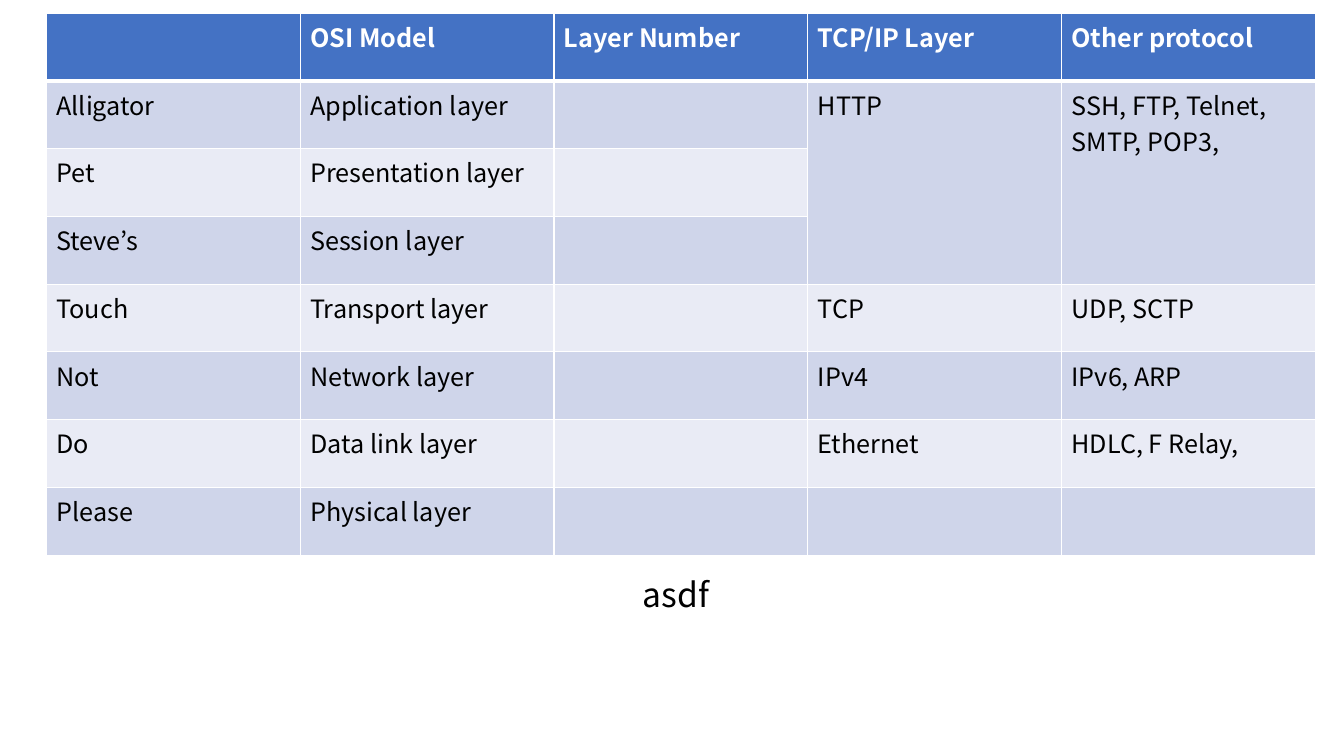
from dataclasses import dataclass

from lxml.etree import SubElement
from pptx import Presentation
from pptx.dml.color import RGBColor as RGB
from pptx.enum.text import PP_ALIGN as Align
from pptx.oxml.ns import qn
from pptx.util import Pt


@dataclass(frozen=True)
class Theme:
    font: str = "Noto Sans CJK KR"
    header: str = "4472C4"
    bands: tuple = ("CFD5EA", "E9EBF5")
    rule: str = "FFFFFF"
    header_text: str = "FFFFFF"
    body_text: str = "000000"
    table_size: int = 18
    caption_size: int = 24
    thin: int = 1
    thick: int = 3


THEME = Theme()
HEADINGS = ("", "OSI Model", "Layer Number", "TCP/IP Layer", "Other protocol")
LAYERS = (
    ("Alligator", "Application layer", "", "HTTP", "SSH, FTP, Telnet, SMTP, POP3, "),
    ("Pet", "Presentation layer", "", "", ""),
    ("Steve’s ", "Session layer", "", "", ""),
    ("Touch", "Transport layer", "", "TCP", "UDP, SCTP"),
    ("Not", "Network layer", "", "IPv4", "IPv6, ARP"),
    ("Do", "Data link layer", "", "Ethernet", "HDLC, F Relay, "),
    ("Please", "Physical layer", "", "", ""),
)
MERGED_ROWS = (1, 3)
PROTOCOL_COLUMNS = (3, 4)
LEFT, TOP = 33.1, 9.4
COLUMN_WIDTH, ROW_HEIGHT = 181.3, 48.4


def style_runs(paragraph, size, color, bold=False):
    for run in paragraph.runs:
        run.font.name = THEME.font
        run.font.size = Pt(size)
        run.font.bold = bold
        run.font.color.rgb = RGB.from_string(color)


def add_border(cell, side, width):
    line = SubElement(cell._tc.get_or_add_tcPr(), qn(f"a:ln{side}"), w=str(Pt(width)))
    paint = SubElement(line, qn("a:solidFill"))
    SubElement(paint, qn("a:srgbClr"), val=THEME.rule)


def fill_cell(cell, wording, row):
    is_header = row == 0
    widths = {
        "L": THEME.thin,
        "R": THEME.thin,
        "T": THEME.thick if row == 1 else THEME.thin,
        "B": THEME.thick if is_header else THEME.thin,
    }
    for side, width in widths.items():
        add_border(cell, side, width)
    band = THEME.header if is_header else THEME.bands[(row - 1) % 2]
    cell.fill.solid()
    cell.fill.fore_color.rgb = RGB.from_string(band)
    cell.text_frame.text = wording
    color = THEME.header_text if is_header else THEME.body_text
    style_runs(cell.text_frame.paragraphs[0], THEME.table_size, color, is_header)


def add_layer_table(slide):
    rows = (HEADINGS, *LAYERS)
    layers = slide.shapes.add_table(
        len(rows), len(HEADINGS), Pt(LEFT), Pt(TOP),
        Pt(COLUMN_WIDTH * len(HEADINGS)), Pt(ROW_HEIGHT * len(rows)),
    ).table
    for column in layers.columns:
        column.width = Pt(COLUMN_WIDTH)
    for row, wordings in enumerate(rows):
        layers.rows[row].height = Pt(ROW_HEIGHT)
        for column, wording in enumerate(wordings):
            fill_cell(layers.cell(row, column), wording, row)
    first, last = MERGED_ROWS
    for column in PROTOCOL_COLUMNS:
        layers.cell(first, column).merge(layers.cell(last, column))


def add_caption(slide, wording, left, top, width, height):
    frame = slide.shapes.add_textbox(Pt(left), Pt(top), Pt(width), Pt(height)).text_frame
    frame.word_wrap = True
    frame.text = wording
    caption = frame.paragraphs[0]
    caption.alignment = Align.CENTER
    caption.line_spacing = 0.9
    caption.space_before = Pt(10)
    style_runs(caption, THEME.caption_size, THEME.body_text)


def main():
    deck = Presentation()
    deck.slide_width, deck.slide_height = Pt(960), Pt(540)
    slide = deck.slides.add_slide(deck.slide_layouts[6])
    add_layer_table(slide)
    add_caption(slide, "asdf", LEFT, 409.7, 899.3, 110.9)
    deck.save("out.pptx")


main()
